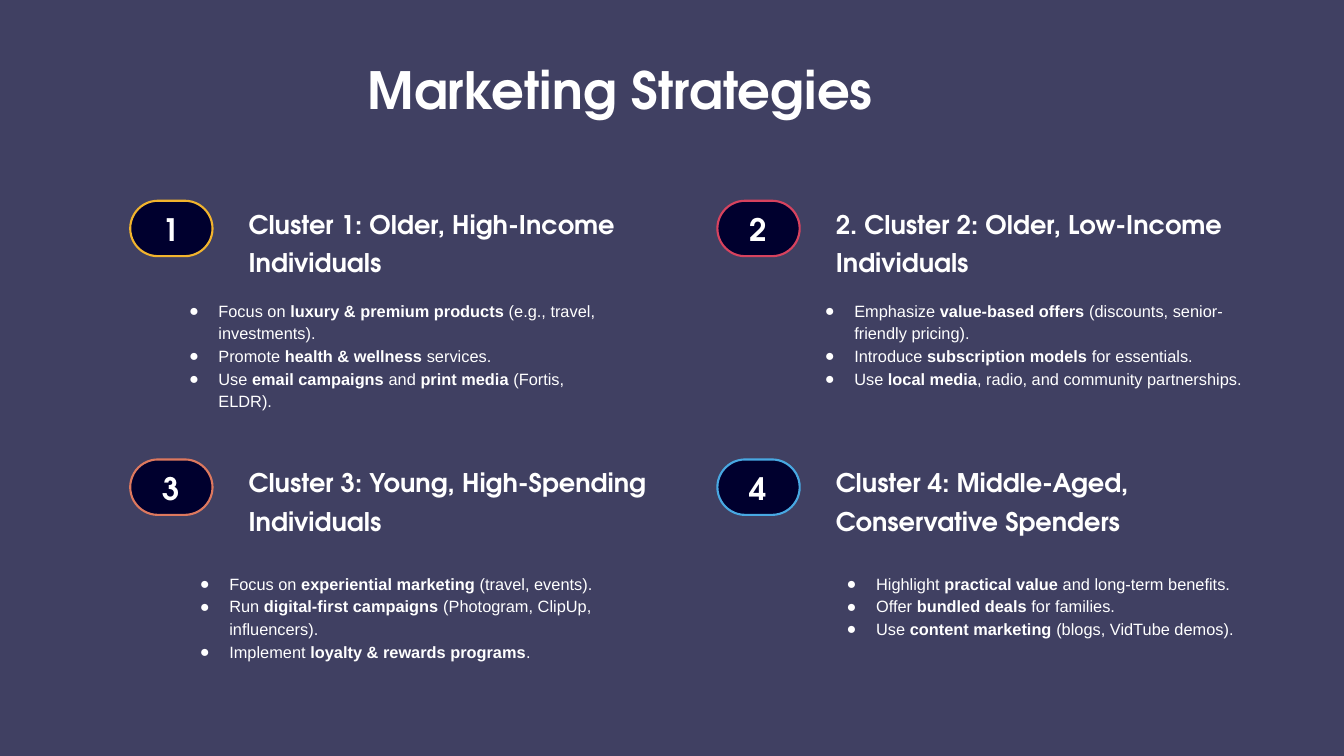
from lxml.etree import SubElement
from pptx import Presentation
from pptx.dml.color import RGBColor
from pptx.enum.shapes import MSO_SHAPE
from pptx.enum.text import MSO_ANCHOR, MSO_AUTO_SIZE, PP_ALIGN
from pptx.oxml.ns import qn
from pptx.util import Inches, Pt

COLORS = {
    "background": "404062", "navy": "00002E", "white": "FFFFFF",
    "yellow": "F2B42D", "red": "D7425E", "orange": "DD785E", "blue": "48A8E2",
}
HEADING_FONT = "TeX Gyre Adventor"
BODY_FONT = "Arial"
COLUMNS = (1.55, 8.54)
ROWS = (2.39, 5.47)

# Each cluster: outline, heading, list offset and height, bullets.
# Every second piece of a bullet is bold.
CLUSTERS = [
    ("yellow", "Cluster 1: Older, High-Income Individuals", (0.55, 1.16), 1.42, [
        ("Focus on ", "luxury & premium products", " (e.g., travel, investments)."),
        ("Promote ", "health & wellness", " services."),
        ("Use ", "email campaigns", " and ", "print media", " (Fortis, ELDR)."),
    ]),
    ("red", "2. Cluster 2: Older, Low-Income Individuals", (1.13, 1.16), 1.16, [
        ("Emphasize ", "value-based offers", " (discounts, senior-friendly pricing)."),
        ("Introduce ", "subscription models", " for essentials."),
        ("Use ", "local media", ", radio, and community partnerships."),
    ]),
    ("orange", "Cluster 3: Young, High-Spending Individuals", (0.68, 1.33), 1.42, [
        ("Focus on ", "experiential marketing", " (travel, events)."),
        ("Run ", "digital-first campaigns", " (Photogram, ClipUp, influencers)."),
        ("Implement ", "loyalty & rewards programs", "."),
    ]),
    ("blue", "Cluster 4: Middle-Aged, Conservative Spenders", (1.39, 1.33), 0.94, [
        ("Highlight ", "practical value", " and long-term benefits."),
        ("Offer ", "bundled deals", " for families."),
        ("Use ", "content marketing", " (blogs, VidTube demos)."),
    ]),
]


def rgb(name):
    return RGBColor.from_string(COLORS[name])


def place(sp, x, y, w, h):
    sp.left, sp.top, sp.width, sp.height = (Inches(v) for v in (x, y, w, h))


def prepare_frame(sp):
    tf = sp.text_frame
    tf.word_wrap = True
    tf.auto_size = MSO_AUTO_SIZE.NONE
    tf.vertical_anchor = MSO_ANCHOR.TOP
    tf.margin_left = tf.margin_top = tf.margin_right = tf.margin_bottom = 0
    return tf


def add_run(p, text, size, font, bold):
    r = p.add_run()
    r.text = text
    r.font.size = Pt(size)
    r.font.name = font
    r.font.bold = bold
    r.font.color.rgb = rgb("white")


def add_heading(sp, text, size, align=PP_ALIGN.LEFT, spacing=1.25):
    p = prepare_frame(sp).paragraphs[0]
    p.alignment = align
    p.line_spacing = spacing
    p.space_before = Pt(0)
    add_run(p, text, size, HEADING_FONT, True)


def add_bullet(p):
    pPr = p._p.get_or_add_pPr()
    pPr.set("marL", str(Inches(0.5)))
    pPr.set("indent", str(Inches(-0.35)))
    color = SubElement(pPr, qn("a:buClr"))
    SubElement(color, qn("a:srgbClr"), val=COLORS["white"])
    SubElement(pPr, qn("a:buFont"), typeface=BODY_FONT)
    SubElement(pPr, qn("a:buChar"), char="●")


def fill_list(sp, bullets):
    tf = prepare_frame(sp)
    for i, pieces in enumerate(bullets):
        p = tf.add_paragraph() if i else tf.paragraphs[0]
        add_bullet(p)
        p.alignment = PP_ALIGN.LEFT
        p.line_spacing = 1.15
        p.space_before = Pt(0)
        for j, text in enumerate(pieces):
            add_run(p, text, 14, BODY_FONT, j % 2 == 1)


def add_cluster(s, number, x, y, cluster):
    outline, heading, (dx, dy), height, bullets = cluster

    # Number badge
    pill = s.shapes.add_shape(MSO_SHAPE.ROUNDED_RECTANGLE, Inches(x), Inches(y),
                              Inches(0.98), Inches(0.66))
    pill.adjustments[0] = 0.5
    pill.shadow.inherit = False
    pill.fill.solid()
    pill.fill.fore_color.rgb = rgb("navy")
    pill.line.color.rgb = rgb(outline)
    pill.line.width = Pt(1.8)
    digit = s.shapes.add_textbox(Inches(x + 0.3), Inches(y + 0.12),
                                 Inches(0.37), Inches(0.42))
    add_heading(digit, str(number), 26.5, PP_ALIGN.CENTER, 1.0)

    # Heading
    label = s.shapes.add_textbox(Inches(x + 1.41), Inches(y), Inches(5.1), Inches(0.87))
    add_heading(label, heading, 22)

    # Strategies
    body = s.placeholders[number]
    place(body, x + dx, y + dy, 5.14, height)
    fill_list(body, bullets)


def add_title(s, x, y, w, h):
    place(s.shapes.title, x, y, w, h)
    add_heading(s.shapes.title, "Marketing Strategies", 44)


def main():
    prs = Presentation()
    prs.slide_width, prs.slide_height = Inches(16), Inches(9)
    # The Comparison layout has a title and four body placeholders
    s = prs.slides.add_slide(prs.slide_layouts[4])
    s.background.fill.solid()
    s.background.fill.fore_color.rgb = rgb("background")

    add_title(s, 4.38, 0.51, 6.16, 0.77)
    for i, cluster in enumerate(CLUSTERS):
        add_cluster(s, i + 1, COLUMNS[i % 2], ROWS[i // 2], cluster)
    prs.save("out.pptx")


if __name__ == "__main__":
    main()
